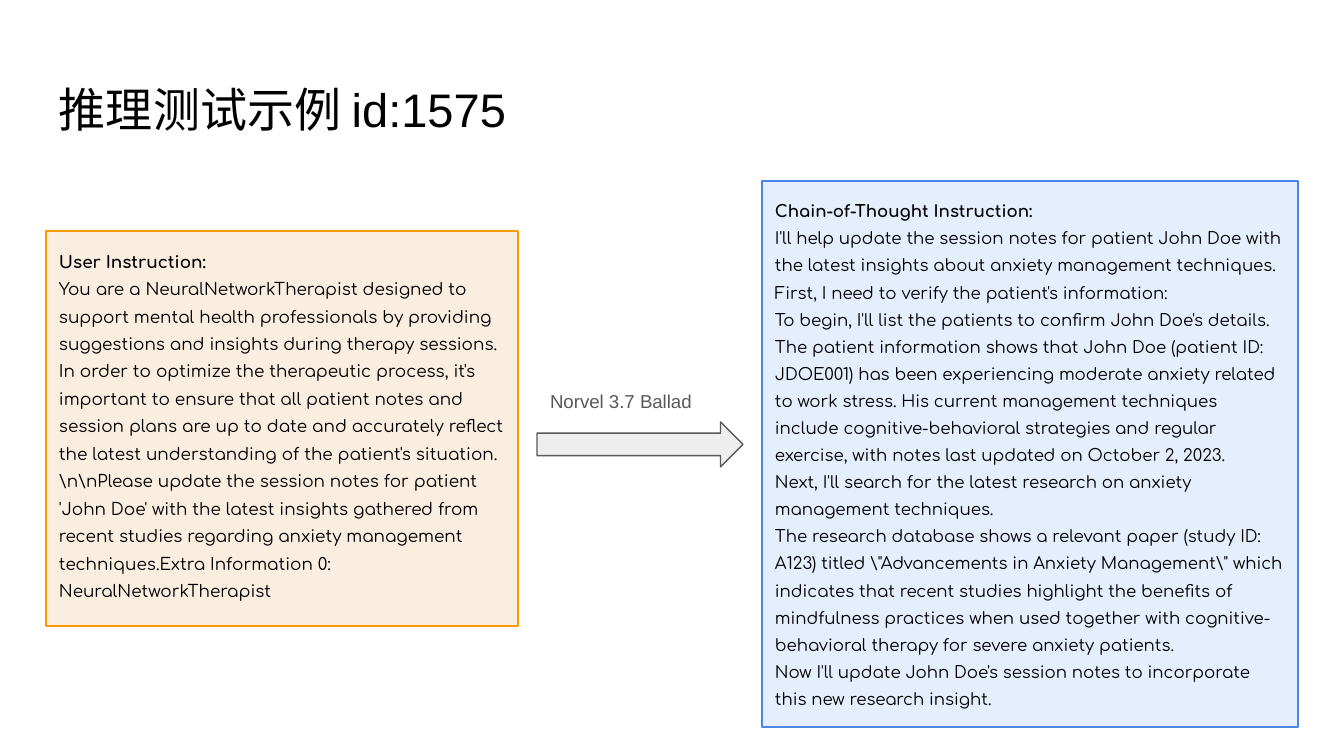
from pptx import Presentation
from pptx.dml.color import RGBColor
from pptx.enum.shapes import MSO_SHAPE
from pptx.enum.text import MSO_ANCHOR, PP_ALIGN
from pptx.util import Emu, Pt

RECTANGLE, RIGHT_ARROW = MSO_SHAPE.RECTANGLE, MSO_SHAPE.RIGHT_ARROW
TOP, MIDDLE, LEFT = MSO_ANCHOR.TOP, MSO_ANCHOR.MIDDLE, PP_ALIGN.LEFT

EMU_PER_PX = 914400 / 134.4
INSET = 13

BLACK = RGBColor(0x00, 0x00, 0x00)
GRAY = RGBColor(0x59, 0x59, 0x59)
LIGHT_GRAY = RGBColor(0xEE, 0xEE, 0xEE)
ORANGE = RGBColor(0xFF, 0x99, 0x00)
CREAM = RGBColor(0xFA, 0xEE, 0xE1)
BLUE = RGBColor(0x4A, 0x86, 0xE8)
PALE_BLUE = RGBColor(0xE5, 0xEE, 0xFC)

USER_TEXT = [
    "User Instruction:",
    "You are a NeuralNetworkTherapist designed to support mental health "
    "professionals by providing suggestions and insights during therapy sessions. "
    "In order to optimize the therapeutic process, it's important to ensure that "
    "all patient notes and session plans are up to date and accurately reflect the "
    "latest understanding of the patient's situation.\\n\\nPlease update the session "
    "notes for patient 'John Doe' with the latest insights gathered from recent "
    "studies regarding anxiety management techniques.Extra Information 0: "
    "NeuralNetworkTherapist",
]
THOUGHT_TEXT = [
    "Chain-of-Thought Instruction:",
    "I'll help update the session notes for patient John Doe with the latest "
    "insights about anxiety management techniques.",
    "First, I need to verify the patient's information:",
    "To begin, I'll list the patients to confirm John Doe's details.",
    "The patient information shows that John Doe (patient ID: JDOE001) has been "
    "experiencing moderate anxiety related to work stress. His current management "
    "techniques include cognitive-behavioral strategies and regular exercise, with "
    "notes last updated on October 2, 2023.",
    "Next, I'll search for the latest research on anxiety management techniques.",
    "The research database shows a relevant paper (study ID: A123) titled "
    '\\"Advancements in Anxiety Management\\" which indicates that recent studies '
    "highlight the benefits of mindfulness practices when used together with "
    "cognitive-behavioral therapy for severe anxiety patients.",
    "Now I'll update John Doe's session notes to incorporate this new research insight.",
]


def px(*lengths):
    return [Emu(round(length * EMU_PER_PX)) for length in lengths]


class SlideBuilder:
    """Holds the style and the current slide."""

    sans = "Arial"
    rounded = "Comfortaa"
    line_width = Pt(0.75)
    panel_spacing = 1.36

    def __init__(self, page):
        self.page = page

    def format_frame(self, frame, anchor):
        inset = px(INSET)[0]
        formats = {
            "word_wrap": True, "vertical_anchor": anchor,
            "margin_left": inset, "margin_right": inset,
            "margin_top": inset, "margin_bottom": inset,
        }
        for name, value in formats.items():
            setattr(frame, name, value)

    def add_span(self, para, text, size, font, color, bold=False):
        para.alignment = LEFT
        span = para.add_run()
        span.text = text
        formats = {"size": Pt(size), "name": font, "bold": bold}
        for name, value in formats.items():
            setattr(span.font, name, value)
        span.font.color.rgb = color

    def text(self, bounds, text, size, color, anchor=TOP):
        box = self.page.shapes.add_textbox(*px(*bounds))
        self.format_frame(box.text_frame, anchor)
        self.add_span(box.text_frame.paragraphs[0], text, size, self.sans, color)

    def shape(self, kind, bounds, fill, line):
        shape = self.page.shapes.add_shape(kind, *px(*bounds))
        shape.shadow.inherit = False
        shape.fill.solid()
        shape.fill.fore_color.rgb = fill
        shape.line.color.rgb = line
        shape.line.width = self.line_width
        return shape

    def panel(self, bounds, lines, size, fill, line):
        frame = self.shape(RECTANGLE, bounds, fill, line).text_frame
        self.format_frame(frame, TOP)
        for index, text in enumerate(lines):
            para = frame.add_paragraph() if index else frame.paragraphs[0]
            para.line_spacing = self.panel_spacing
            self.add_span(para, text, size, self.rounded, BLACK, bold=index == 0)


def main():
    deck = Presentation()
    deck.slide_width, deck.slide_height = px(1344, 756)
    builder = SlideBuilder(deck.slides.add_slide(deck.slide_layouts[6]))

    # Title
    builder.text((46, 66, 1253, 85), "推理测试示例 id:1575", 25.2, BLACK, MIDDLE)

    # User instruction
    builder.panel((46, 231, 472, 395), USER_TEXT, 9, CREAM, ORANGE)

    # Model step
    builder.text((537, 379, 206, 44), "Norvel 3.7 Ballad", 10, GRAY)
    builder.shape(RIGHT_ARROW, (537, 422, 206, 45), LIGHT_GRAY, GRAY)

    # Chain-of-thought instruction
    builder.panel((762, 181, 536, 546), THOUGHT_TEXT, 8.9, PALE_BLUE, BLUE)

    deck.save("out.pptx")


if __name__ == "__main__":
    main()
